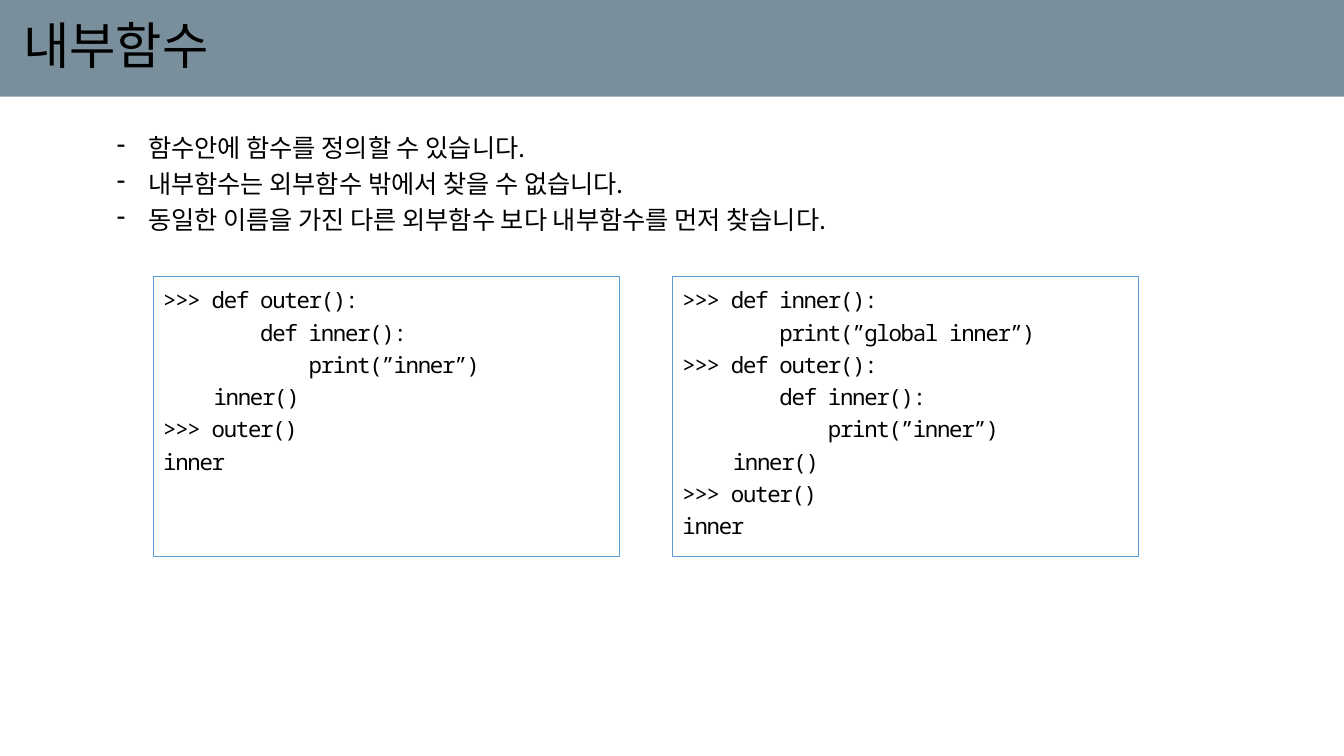
from dataclasses import dataclass

from lxml.etree import SubElement
from pptx import Presentation
from pptx.dml.color import RGBColor
from pptx.enum.shapes import MSO_SHAPE
from pptx.enum.text import MSO_ANCHOR, MSO_AUTO_SIZE, PP_ALIGN
from pptx.oxml.ns import qn
from pptx.slide import Slide
from pptx.text.text import TextFrame, _Paragraph
from pptx.util import Inches, Pt

BLACK = RGBColor(0x00, 0x00, 0x00)
SLATE = RGBColor(0x79, 0x90, 0x9C)
BLUE = RGBColor(0x5B, 0x9B, 0xD5)
SANS = "Noto Sans CJK KR"
MONO = "Noto Sans Mono"


@dataclass
class Style:
    font: str
    size: int
    lead: float = 1.2
    track: int = 0
    dash: bool = False


@dataclass
class Panel:
    left: float
    code: str


HEAD = Style("Arial", 36, 0.9)
NOTE = Style(SANS, 18, dash=True)
CODE = Style(MONO, 16, track=-90)

POINTS = """함수안에 함수를 정의할 수 있습니다.
내부함수는 외부함수 밖에서 찾을 수 없습니다.
동일한 이름을 가진 다른 외부함수 보다 내부함수를 먼저 찾습니다."""

OUTER = """>>> def outer():
        def inner():
            print(”inner”)
\tinner()
>>> outer()
inner"""

GLOBAL = """>>> def inner():
        print(”global inner”)
"""

PANELS = [Panel(1.52, OUTER), Panel(6.67, GLOBAL + OUTER)]


def add_dash(para: _Paragraph) -> None:
    props = para._p.get_or_add_pPr()
    props.set("marL", str(Inches(0.31)))
    props.set("indent", str(Inches(-0.31)))
    SubElement(props, qn("a:buChar"), char="-")


def write(frame: TextFrame, text: str, style: Style) -> None:
    frame.word_wrap = True
    for num, line in enumerate(text.split("\n")):
        para = frame.add_paragraph() if num else frame.paragraphs[0]
        para.alignment = PP_ALIGN.LEFT
        para.line_spacing = style.lead
        if style.dash:
            add_dash(para)
        run = para.add_run()
        run.text = line
        run.font.name = style.font
        run.font.size = Pt(style.size)
        run.font.color.rgb = BLACK
        props = run.font._element
        if style.track:
            props.set("spc", str(style.track))
        SubElement(props, qn("a:ea"), typeface=style.font)


def add_title(slide: Slide, text: str) -> None:
    title = slide.shapes.title
    title.left, title.top = Inches(0), Inches(0)
    title.width, title.height = Inches(13.33), Inches(0.96)
    title.fill.solid()
    title.fill.fore_color.rgb = SLATE
    frame = title.text_frame
    frame.auto_size = MSO_AUTO_SIZE.NONE
    frame.vertical_anchor = MSO_ANCHOR.MIDDLE
    frame.margin_left = Inches(0.23)
    write(frame, text, HEAD)


def add_panel(slide: Slide, panel: Panel) -> None:
    box = slide.shapes.add_shape(
        MSO_SHAPE.RECTANGLE,
        Inches(panel.left), Inches(2.74), Inches(4.62), Inches(2.78),
    )
    box.shadow.inherit = False
    box.fill.background()
    box.line.color.rgb = BLUE
    box.line.width = Pt(0.75)
    box.text_frame.vertical_anchor = MSO_ANCHOR.TOP
    write(box.text_frame, panel.code, CODE)


def main() -> None:
    deck = Presentation()
    deck.slide_width, deck.slide_height = Inches(13.33), Inches(7.5)
    slide = deck.slides.add_slide(deck.slide_layouts.get_by_name("Title Only"))
    add_title(slide, "내부함수")
    notes = slide.shapes.add_textbox(
        Inches(1.06), Inches(1.2), Inches(10.59), Inches(1.19)
    )
    notes.text_frame.auto_size = MSO_AUTO_SIZE.SHAPE_TO_FIT_TEXT
    write(notes.text_frame, POINTS, NOTE)
    for panel in PANELS:
        add_panel(slide, panel)
    deck.save("out.pptx")


if __name__ == "__main__":
    main()
